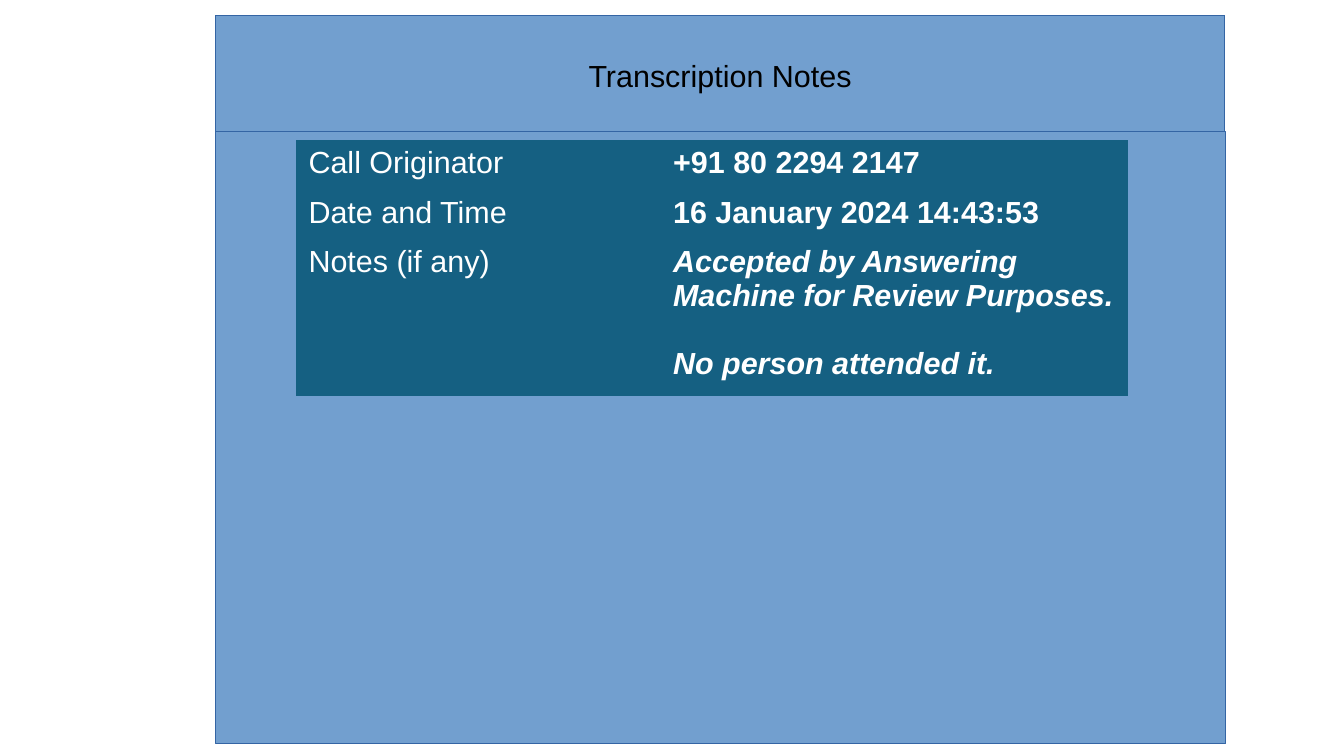
from typing import NamedTuple

from pptx import Presentation
from pptx.dml.color import RGBColor
from pptx.enum.shapes import MSO_SHAPE
from pptx.enum.text import MSO_ANCHOR, MSO_AUTO_SIZE, PP_ALIGN
from pptx.util import Inches, Pt

WIDE, HIGH = Inches(11.02), Inches(6.2)
SKY = RGBColor(0x72, 0x9F, 0xCF)
EDGE = RGBColor(0x34, 0x65, 0xA4)
TEAL = RGBColor(0x15, 0x60, 0x82)
BLACK = RGBColor(0, 0, 0)
WHITE = RGBColor(255, 255, 255)


class Area(NamedTuple):
    """Place and size in percent of the slide."""
    left: float
    top: float
    width: float
    height: float


class Entry(NamedTuple):
    label: str
    lines: list[str]
    height: float
    slant: bool = False


HEAD = Area(16.06, 2.1, 75.05, 15.81)
BODY = Area(16.06, 17.42, 75.14, 80.97)
COLS = (27.13, 34.75)
ENTRIES = [
    Entry("Call Originator", ["+91 80 2294 2147"], 6.53),
    Entry("Date and Time", ["16 January 2024 14:43:53"], 6.53),
    Entry("Notes (if any)",
          ["Accepted by Answering Machine for Review Purposes.",
           "No person attended it."], 20.81, True),
]
GRID = Area(22.05, 18.55, sum(COLS), sum(e.height for e in ENTRIES))


def across(share: float) -> int:
    return round(WIDE * share / 100)


def down(share: float) -> int:
    return round(HIGH * share / 100)


def frame(area: Area) -> tuple[int, int, int, int]:
    return (across(area.left), down(area.top),
            across(area.width), down(area.height))


def paint(shape) -> None:
    shape.fill.solid()
    shape.fill.fore_color.rgb = SKY
    shape.line.color.rgb = EDGE
    shape.line.width = Pt(0)


def style(para, color: RGBColor, bold: bool = False,
          slant: bool = False) -> None:
    for run in para.runs:
        font = run.font
        font.name, font.size = "Arial", Pt(18)
        font.bold, font.italic = bold, slant
        font.color.rgb = color


def write(cell, lines: list[str], bold: bool, slant: bool) -> None:
    cell.fill.solid()
    cell.fill.fore_color.rgb = TEAL
    cell.text_frame.text = "\n".join(lines)
    for i, para in enumerate(cell.text_frame.paragraphs):
        if i:
            para.space_before = Pt(20)
        style(para, WHITE, bold, slant)


def main() -> None:
    deck = Presentation()
    deck.slide_width, deck.slide_height = WIDE, HIGH
    slide = deck.slides.add_slide(deck.slide_layouts[5])

    # Title band
    title = slide.shapes.title
    title.left, title.top, title.width, title.height = frame(HEAD)
    paint(title)
    text = title.text_frame
    text.text = "Transcription Notes"
    text.auto_size = MSO_AUTO_SIZE.NONE
    text.vertical_anchor = MSO_ANCHOR.MIDDLE
    text.paragraphs[0].alignment = PP_ALIGN.CENTER
    style(text.paragraphs[0], BLACK)

    # Body panel
    panel = slide.shapes.add_shape(MSO_SHAPE.RECTANGLE, *frame(BODY))
    panel.shadow.inherit = False
    paint(panel)

    # Call details
    table = slide.shapes.add_table(len(ENTRIES), len(COLS), *frame(GRID)).table
    table.first_row = table.horz_banding = False
    # A plain table style, so that no borders show
    style_id = table._tbl.tblPr.find("{*}tableStyleId")
    style_id.text = "{2D5ABB26-0587-4C30-8999-92F81FD0307C}"
    for col, share in zip(table.columns, COLS):
        col.width = across(share)
    for i, entry in enumerate(ENTRIES):
        table.rows[i].height = down(entry.height)
        write(table.cell(i, 0), [entry.label], False, False)
        write(table.cell(i, 1), entry.lines, True, entry.slant)

    deck.save("out.pptx")


if __name__ == "__main__":
    main()
